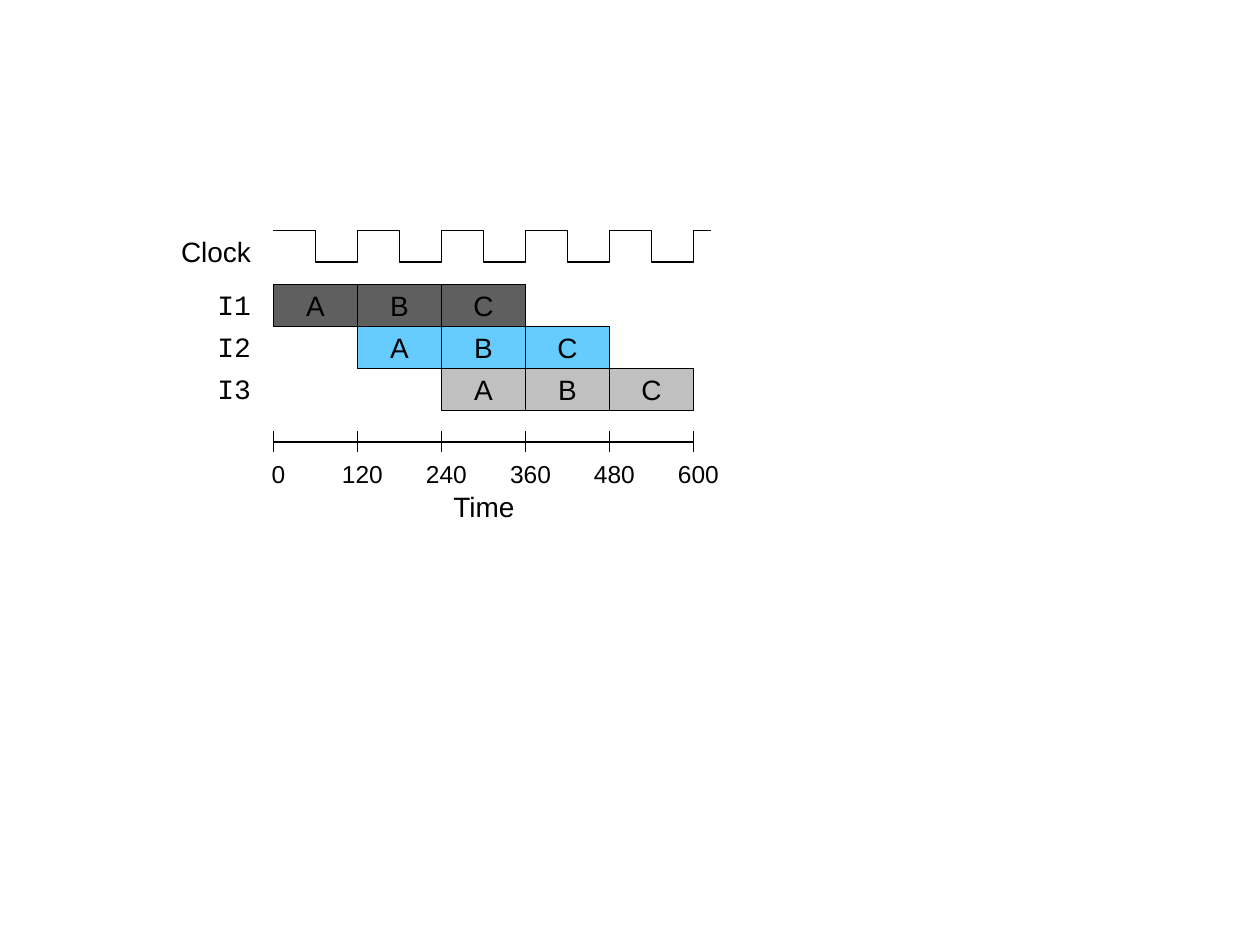
from dataclasses import dataclass

from lxml import etree
from pptx import Presentation
from pptx.dml.color import RGBColor
from pptx.enum.shapes import MSO_CONNECTOR, MSO_SHAPE
from pptx.enum.text import MSO_ANCHOR, MSO_AUTO_SIZE, PP_ALIGN
from pptx.oxml.ns import qn
from pptx.util import Inches, Pt


@dataclass(frozen=True)
class Theme:
    ink: RGBColor = RGBColor(0x00, 0x00, 0x00)
    paper: RGBColor = RGBColor(0xFF, 0xFF, 0xFF)
    rows: tuple = (
        RGBColor(0x5F, 0x5F, 0x5F),
        RGBColor(0x66, 0xCC, 0xFF),
        RGBColor(0xC0, 0xC0, 0xC0),
    )
    sans: str = "Arial"
    mono: str = "Courier New"
    label: Pt = Pt(16)
    tick: Pt = Pt(14)
    thin: Pt = Pt(0.75)
    axis: Pt = Pt(1)


theme = Theme()


def write(box, text, align, size=theme.label, font=theme.sans, wrap=False):
    frame = box.text_frame
    frame.text = text
    frame.word_wrap = wrap
    para = frame.paragraphs[0]
    para.alignment = align
    span = para.runs[0]
    span.font.name = font
    span.font.size = size
    span.font.color.rgb = theme.ink


def add_line(shapes, x1, y1, x2, y2, width):
    line = shapes.add_connector(
        MSO_CONNECTOR.STRAIGHT, Inches(x1), Inches(y1), Inches(x2), Inches(y2)
    )
    line.line.color.rgb = theme.ink
    line.line.width = width
    etree.SubElement(line._element.spPr, qn("a:effectLst"))


deck = Presentation()
deck.slide_width, deck.slide_height = Inches(10), Inches(7.5)
page = deck.slides.add_slide(deck.slide_layouts[6])

start = 2.17
cycle = 2 / 3
cycles = 5
end = start + cycles * cycle
row_top, row_height = 2.26, 1 / 3

# Axis title
title = page.shapes.add_textbox(Inches(3.5), Inches(3.84), Inches(0.69), Inches(0.36))
write(title, "Time", PP_ALIGN.LEFT)
title.text_frame.auto_size = MSO_AUTO_SIZE.SHAPE_TO_FIT_TEXT

# Row labels
labels = [("Clock", 1.83, theme.sans)]
labels += [(f"I{i + 1}", 2.25 + i * row_height, theme.mono) for i in range(3)]
for text, top, font in labels:
    label = page.shapes.add_shape(
        MSO_SHAPE.RECTANGLE, Inches(1.17), Inches(top), Inches(0.92), Inches(row_height)
    )
    label.shadow.inherit = False
    label.fill.solid()
    label.fill.fore_color.rgb = theme.paper
    label.line.fill.background()
    label.text_frame.vertical_anchor = MSO_ANCHOR.MIDDLE
    write(label, text, PP_ALIGN.RIGHT, font=font)

# Pipeline: each instruction starts one cycle after the one above it
for row, color in enumerate(theme.rows):
    instruction = page.shapes.add_group_shape()
    for column, text in enumerate("ABC"):
        stage = instruction.shapes.add_shape(
            MSO_SHAPE.RECTANGLE,
            Inches(start + (row + column) * cycle),
            Inches(row_top + row * row_height),
            Inches(cycle),
            Inches(row_height),
        )
        stage.shadow.inherit = False
        stage.fill.solid()
        stage.fill.fore_color.rgb = color
        stage.line.color.rgb = theme.ink
        stage.line.width = theme.thin
        stage.text_frame.vertical_anchor = MSO_ANCHOR.MIDDLE
        write(stage, text, PP_ALIGN.CENTER)

# Time axis with its ticks and numbers
axis = page.shapes.add_group_shape()
numbers = page.shapes.add_group_shape()
add_line(axis.shapes, start, 3.51, end, 3.51, theme.axis)
for tick in range(cycles + 1):
    x = start + tick * cycle
    add_line(axis.shapes, x, 3.42, x, 3.59, theme.thin)
    number = numbers.shapes.add_textbox(
        Inches(x - 0.25), Inches(3.59), Inches(0.58), Inches(0.34)
    )
    write(number, str(tick * 120), PP_ALIGN.CENTER, size=theme.tick, wrap=True)
    number.text_frame.auto_size = MSO_AUTO_SIZE.SHAPE_TO_FIT_TEXT

# Clock wave: high for the first half of each cycle, low for the second
high, low = 1.83, 2.08
points = []
for beat in range(cycles):
    x = start + beat * cycle
    middle = x + cycle / 2
    points += [(x, high), (middle, high), (middle, low), (x + cycle, low)]
points += [(end, high), (5.64, high)]
corners = [(Inches(x), Inches(y)) for x, y in points]
builder = page.shapes.build_freeform(*corners[0])
builder.add_line_segments(corners[1:], close=False)
wave = builder.convert_to_shape()
wave.shadow.inherit = False
wave.fill.background()
wave.line.color.rgb = theme.ink
wave.line.width = theme.thin

deck.save("out.pptx")
